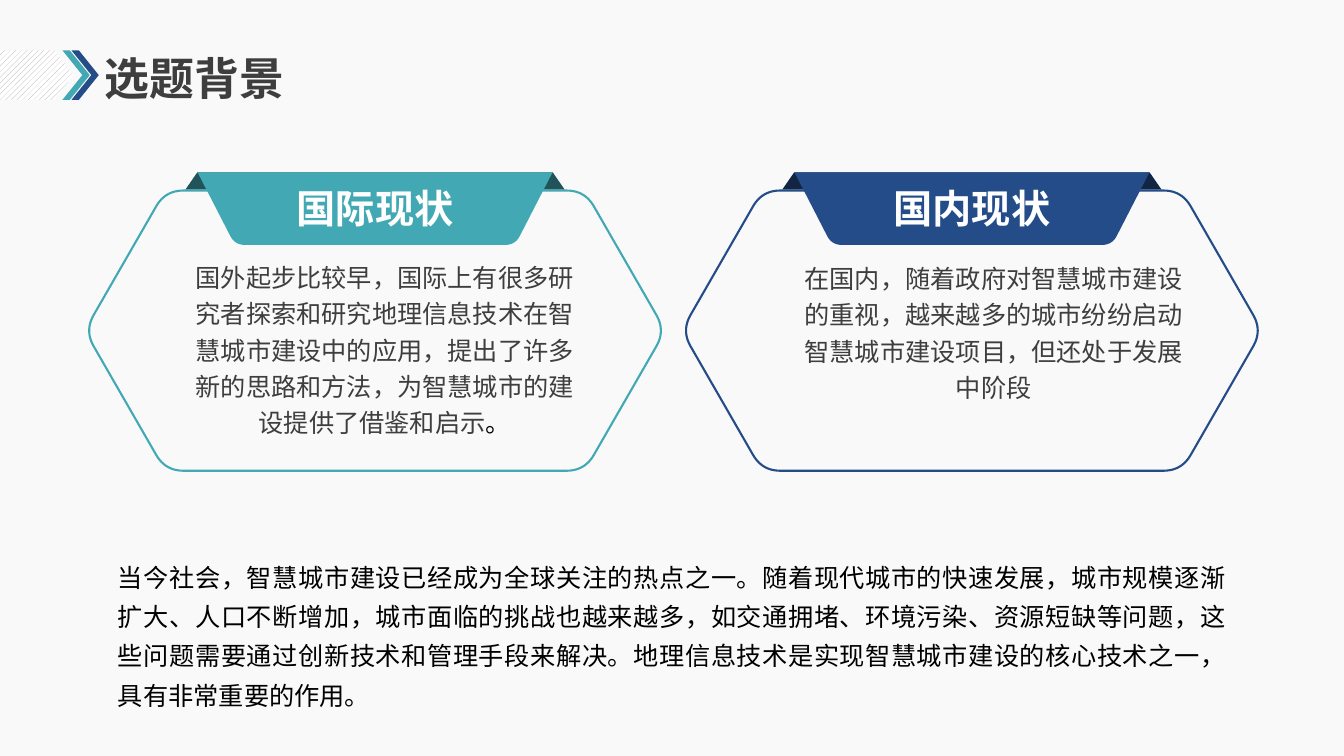
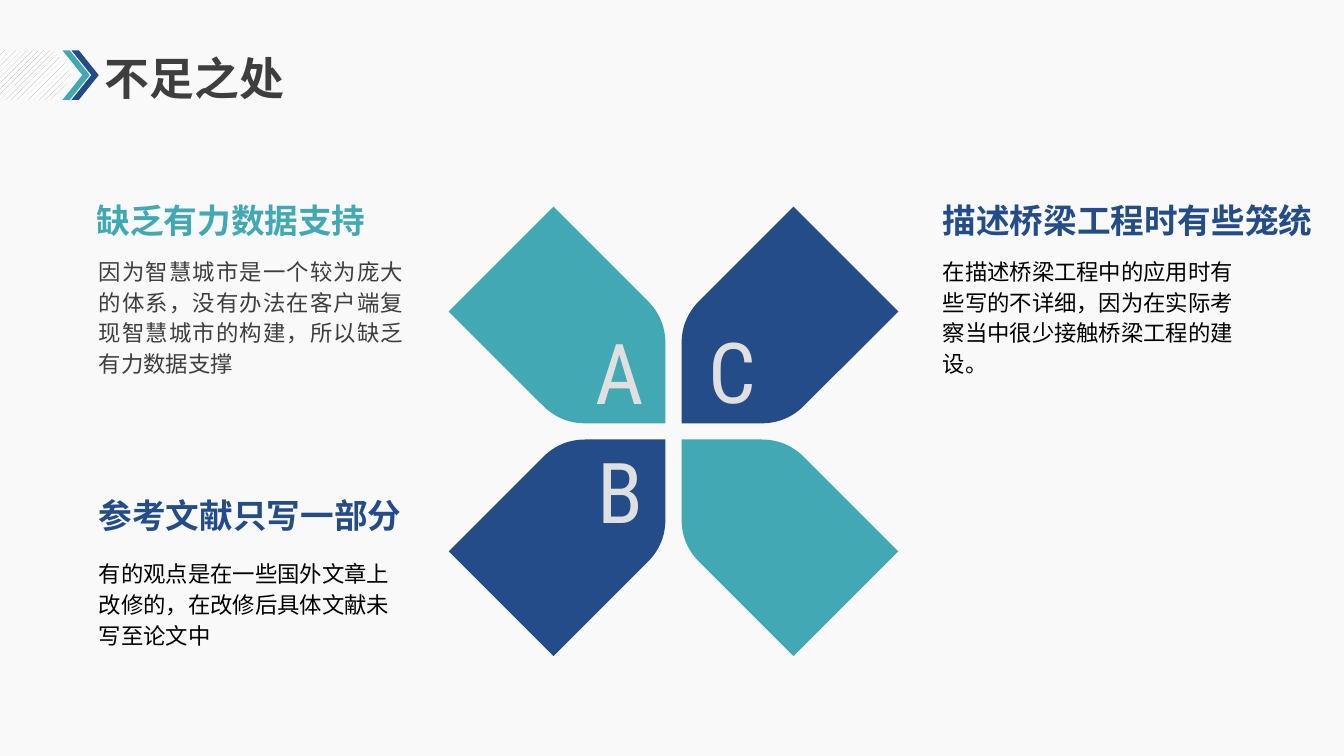
from lxml import etree
from pptx import Presentation
from pptx.dml.color import RGBColor
from pptx.enum.dml import MSO_PATTERN
from pptx.enum.lang import MSO_LANGUAGE_ID
from pptx.enum.shapes import MSO_SHAPE
from pptx.enum.text import MSO_ANCHOR, PP_ALIGN
from pptx.oxml.ns import qn
from pptx.util import Inches, Pt

LEFT, CENTER, JUSTIFY = PP_ALIGN.LEFT, PP_ALIGN.CENTER, PP_ALIGN.JUSTIFY
TOP, MIDDLE = MSO_ANCHOR.TOP, MSO_ANCHOR.MIDDLE
CHEVRON, PENTAGON, TRAPEZOID = MSO_SHAPE.CHEVRON, MSO_SHAPE.PENTAGON, MSO_SHAPE.TRAPEZOID
DIAGONAL = MSO_PATTERN.WIDE_UPWARD_DIAGONAL
CHINESE = MSO_LANGUAGE_ID.SIMPLIFIED_CHINESE

# Theme
CJK = "Noto Sans CJK SC"
THEME = {
    "colors": {
        "page": "F9F9F9", "teal": "42A9B4", "navy": "234C89",
        "dark teal": "21545A", "dark navy": "122644",
        "ink": "3E3E3E", "black": "000000", "white": "FFFFFF",
        "hatch": "A6A6A6", "letter": "E0E0E0",
    },
    "styles": {
        "title": {"name": "Karla", "size": Pt(32), "bold": True},
        "tab": {"name": CJK, "size": Pt(28), "bold": True},
        "heading": {"name": CJK, "size": Pt(24), "bold": True},
        "card": {"name": CJK, "size": Pt(18)},
        "summary": {"name": "Calibri", "size": Pt(18)},
        "detail": {"name": "Calibri", "size": Pt(16)},
        "letter": {"name": "Roboto Condensed", "size": Pt(60)},
    },
    "spacing": {"title": 0.9, "card": Pt(26), "summary": Pt(28), "detail": Pt(22)},
    "outline": Pt(1.5),
}

# Content
BACKGROUND_TITLE = "选题背景"
CARDS = [
    {"tab": "国际现状", "color": "teal", "fold": "dark teal", "body_at": (0.95, 2.54),
     "body": [("国外起步比较早，国际上有很多研究者探索和研究地理信息技术在智慧城市建设中的应用，"
               "提出了许多新的思路和方法，为智慧城市的建设提供了借鉴和启示", "card", "ink"),
              ("。", "summary", "black")]},
    {"tab": "国内现状", "color": "navy", "fold": "dark navy", "body_at": (1.07, 2.55),
     "body": [("在国内，随着政府对智慧城市建设的重视，越来越多的城市纷纷启动智慧城市建设项目，"
               "但还处于发展中阶段", "card", "ink")]},
]
SUMMARY = ("当今社会，智慧城市建设已经成为全球关注的热点之一。随着现代城市的快速发展，"
           "城市规模逐渐扩大、人口不断增加，城市面临的挑战也越来越多，如交通拥堵、环境污染、"
           "资源短缺等问题，这些问题需要通过创新技术和管理手段来解决。地理信息技术是实现"
           "智慧城市建设的核心技术之一，具有非常重要的作用。")

SHORTCOMINGS_TITLE = "不足之处"
# Heading, heading position, heading colour, detail, detail position, colour, alignment
SHORTCOMINGS = [
    ("缺乏有力数据支持", (0.96, 1.98), "teal",
     "因为智慧城市是一个较为庞大的体系，没有办法在客户端复现智慧城市的构建，所以缺乏有力数据支撑",
     (0.98, 2.52), "ink", JUSTIFY),
    ("参考文献只写一部分", (0.98, 4.91), "navy",
     "有的观点是在一些国外文章上改修的，在改修后具体文献未写至论文中",
     (0.98, 5.52), "black", LEFT),
    ("描述桥梁工程时有些笼统", (9.35, 1.98), "navy",
     "在描述桥梁工程中的应用时有些写的不详细，因为在实际考察当中很少接触桥梁工程的建设。",
     (9.35, 2.52), "black", LEFT),
]
# Horizontal direction, vertical direction, colour
PETALS = [(1, -1, "navy"), (-1, -1, "teal"), (1, 1, "teal"), (-1, 1, "navy")]
LETTERS = [("A", 5.87, 3.18), ("B", 5.87, 4.36), ("C", 6.98, 3.17)]

# Geometry: outlines are (x, y, corner cut)
CARD_LEFT, CARD_STEP = 0.89, 5.92
HEXAGON = [(-0.05, 3.28, 0.18), (0.75, 1.89, 0.18), (4.91, 1.89, 0.18),
           (5.71, 3.28, 0.18), (4.91, 4.67, 0.18), (0.75, 4.67, 0.18)]
TAB = [(1.07, 1.71, 0), (4.59, 1.71, 0), (4.22, 2.43, 0.1), (1.44, 2.43, 0.1)]
PETAL = [(0, 0, 0), (1.04, 0, 0.25), (2.15, 1.11, 0), (1.11, 2.15, 0), (0, 1.04, 0.25)]
PETAL_CENTER, PETAL_GAP = (6.68, 4.28), 0.08
CURVE_STEPS = 12


def color(name):
    return RGBColor.from_string(THEME["colors"][name])


def paint(shape, fill=None, line=None):
    shape.shadow.inherit = False
    if fill:
        shape.fill.solid()
        shape.fill.fore_color.rgb = color(fill)
    else:
        shape.fill.background()
    if line:
        shape.line.color.rgb = color(line)
        shape.line.width = THEME["outline"]
    else:
        shape.line.fill.background()


def add_preset(slide, kind, box, adjustment, fill):
    shape = slide.shapes.add_shape(kind, *map(Inches, box))
    shape.adjustments[0] = adjustment
    paint(shape, fill)
    return shape


def toward(start, end, distance):
    dx, dy = end[0] - start[0], end[1] - start[1]
    share = distance / (dx * dx + dy * dy) ** 0.5
    return start[0] + dx * share, start[1] + dy * share


def round_corners(outline):
    points = []
    for i, (x, y, cut) in enumerate(outline):
        if not cut:
            points.append((x, y))
            continue
        start = toward((x, y), outline[i - 1], cut)
        end = toward((x, y), outline[(i + 1) % len(outline)], cut)
        for step in range(CURVE_STEPS + 1):
            t = step / CURVE_STEPS
            points.append(tuple((1 - t) ** 2 * a + 2 * t * (1 - t) * b + t * t * c
                                for a, b, c in zip(start, (x, y), end)))
    return points


def add_outline(slide, outline, **colors):
    points = [(Inches(x), Inches(y)) for x, y in round_corners(outline)]
    builder = slide.shapes.build_freeform(*points[0])
    builder.add_line_segments(points[1:], close=True)
    paint(builder.convert_to_shape(), **colors)


def add_text(slide, box, runs, align=LEFT, anchor=TOP, inset=0, wrap=True):
    frame = slide.shapes.add_textbox(*map(Inches, box)).text_frame
    frame_format = {"word_wrap": wrap, "vertical_anchor": anchor,
                    "margin_left": Inches(inset), "margin_right": Inches(inset),
                    "margin_top": Inches(inset / 2), "margin_bottom": Inches(inset / 2)}
    for key, value in frame_format.items():
        setattr(frame, key, value)
    paragraph = frame.paragraphs[0]
    paragraph.alignment = align
    paragraph.line_spacing = THEME["spacing"].get(runs[0][1])
    for words, style, ink in runs:
        run = paragraph.add_run()
        run.text = words
        for key, value in THEME["styles"][style].items():
            setattr(run.font, key, value)
        run.font.language_id = CHINESE
        run.font.color.rgb = color(ink)
        etree.SubElement(run._r.get_or_add_rPr(), qn("a:ea"), typeface=CJK)


def add_page(deck, title):
    slide = deck.slides.add_slide(deck.slide_layouts[6])
    slide.background.fill.solid()
    slide.background.fill.fore_color.rgb = color("page")
    # Hatched band and chevrons
    band = add_preset(slide, PENTAGON, (-0.01, 0.5, 0.74, 0.49), 0.39, "white")
    band.fill.patterned()
    band.fill.pattern = DIAGONAL
    band.fill.fore_color.rgb = color("hatch")
    band.fill.back_color.rgb = color("white")
    for left, fill in ((0.62, "teal"), (0.71, "navy")):
        add_preset(slide, CHEVRON, (left, 0.5, 0.27, 0.49), 0.73, fill)
    add_text(slide, (0.94, 0.55, 4.94, 0.5), [(title, "title", "ink")],
             anchor=MIDDLE, inset=0.1)
    return slide


def build_background(deck):
    slide = add_page(deck, BACKGROUND_TITLE)
    for i, card in enumerate(CARDS):
        left = CARD_LEFT + i * CARD_STEP
        hexagon, tab = ([(left + x, y, cut) for x, y, cut in outline]
                        for outline in (HEXAGON, TAB))
        add_outline(slide, hexagon, line=card["color"])
        add_preset(slide, TRAPEZOID, (left + 0.95, 1.71, 3.76, 0.17), 0.69, card["fold"])
        add_outline(slide, tab, fill=card["color"])
        add_text(slide, (left + 1.81, 1.83, 2.04, 0.47),
                 [(card["tab"], "tab", "white")], CENTER)
        dx, top = card["body_at"]
        add_text(slide, (left + dx, top, 3.95, 1.79), card["body"], CENTER)
    add_text(slide, (1.17, 5.49, 10.99, 1.53), [(SUMMARY, "summary", "black")], JUSTIFY)


def build_shortcomings(deck):
    slide = add_page(deck, SHORTCOMINGS_TITLE)
    center_x, center_y = PETAL_CENTER
    for across, down, fill in PETALS:
        petal = [(center_x + across * (PETAL_GAP + x), center_y + down * (PETAL_GAP + y), cut)
                 for x, y, cut in PETAL]
        add_outline(slide, petal, fill=fill)
    for letter, left, top in LETTERS:
        add_text(slide, (left, top, 0.56, 1.01), [(letter, "letter", "letter")], CENTER)
    for heading, heading_at, accent, detail, detail_at, ink, align in SHORTCOMINGS:
        add_text(slide, (*heading_at, 3.7, 0.4), [(heading, "heading", accent)], wrap=False)
        add_text(slide, (*detail_at, 3.02, 1.22), [(detail, "detail", ink)], align)


def main():
    deck = Presentation()
    deck.slide_width, deck.slide_height = Inches(13.33), Inches(7.5)
    build_background(deck)
    build_shortcomings(deck)
    deck.save("out.pptx")


if __name__ == "__main__":
    main()
